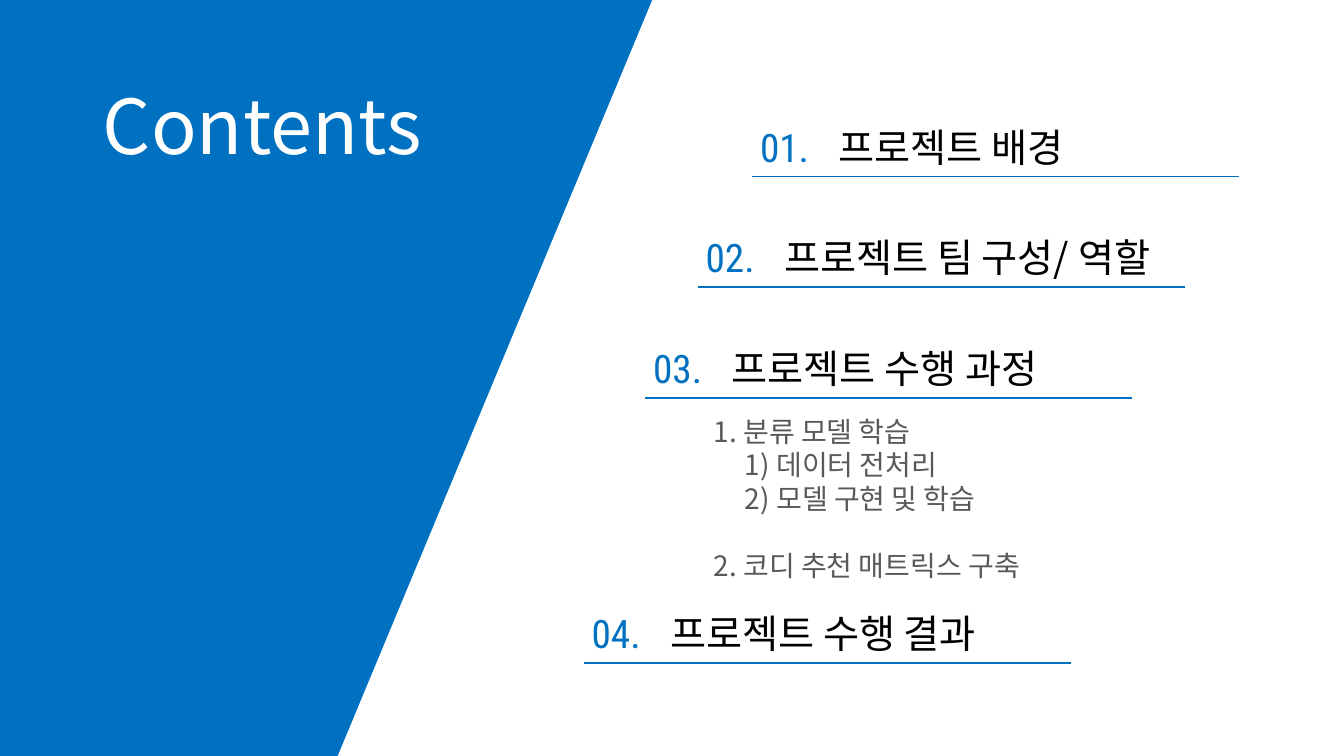
from dataclasses import dataclass

from lxml import etree
from pptx import Presentation
from pptx import util as u
from pptx.dml.color import RGBColor
from pptx.enum import shapes, text
from pptx.oxml import ns

BLUE = RGBColor(0x00, 0x70, 0xC0)
WHITE = RGBColor(0xFF, 0xFF, 0xFF)
BLACK = RGBColor(0x00, 0x00, 0x00)
GRAY = RGBColor(0x59, 0x59, 0x59)
KOREAN_FONT = "Noto Sans CJK KR"
NUMBER_FONT = "Roboto Condensed"
WIDTH, HEIGHT = 13.33, 7.5
RULE_LENGTH = 4.83
NUMBER_WIDTH = 0.75


@dataclass
class Chapter:
    number: str
    heading: str
    left: float
    top: float
    heading_width: float


@dataclass
class Step:
    label: str
    indent: float = 0
    line_spacing: float = 1


CHAPTERS = [
    Chapter("01.", "프로젝트 배경", 7.44, 1.17, 2.63),
    Chapter("02.", "프로젝트 팀 구성/ 역할", 6.9, 2.27, 4.28),
    Chapter("03.", "프로젝트 수행 과정", 6.38, 3.37, 3.54),
    Chapter("04.", "프로젝트 수행 결과", 5.77, 6, 3.53),
]
STEPS = [
    Step("1. 분류 모델 학습"),
    Step("1) 데이터 전처리", indent=0.31),
    Step("2) 모델 구현 및 학습", indent=0.31),
    Step("2. 코디 추천 매트릭스 구축", line_spacing=2),
]


def write(paragraph, content: str, *, size: float, color: RGBColor,
          font: str = KOREAN_FONT, align=text.PP_ALIGN.LEFT,
          indent: float = 0, line_spacing: float = 1) -> None:
    paragraph.alignment = align
    paragraph.line_spacing = line_spacing
    if indent:
        properties = paragraph._p.get_or_add_pPr()
        properties.set("marL", str(u.Inches(indent)))
        properties.set("indent", "0")
    run = paragraph.add_run()
    run.text = content
    run.font.size = u.Pt(size)
    run.font.name = font
    run.font.color.rgb = color
    east_asian = etree.SubElement(run._r.get_or_add_rPr(), ns.qn("a:ea"))
    east_asian.set("typeface", font)


def add_box(parent, left: float, top: float, width: float, height: float,
            wrap: bool = False):
    box = parent.add_textbox(*map(u.Inches, (left, top, width, height)))
    box.text_frame.word_wrap = wrap
    return box.text_frame


def paint(shape, color: RGBColor) -> None:
    shape.shadow.inherit = False
    shape.fill.solid()
    shape.fill.fore_color.rgb = color
    shape.line.fill.background()


def add_background(slide) -> None:
    panel = slide.shapes.add_shape(
        shapes.MSO_SHAPE.RECTANGLE, 0, 0, u.Inches(9.9), u.Inches(HEIGHT))
    paint(panel, BLUE)
    builder = slide.shapes.build_freeform(
        u.Inches(WIDTH), u.Inches(HEIGHT))
    corners = [(3.35, HEIGHT), (6.47, 0), (WIDTH, 0)]
    builder.add_line_segments(
        [(u.Inches(x), u.Inches(y)) for x, y in corners], close=True)
    paint(builder.convert_to_shape(), WHITE)


def add_title(slide) -> None:
    title = slide.shapes.title
    title.left, title.top = u.Inches(0.92), u.Inches(0.73)
    title.width, title.height = u.Inches(3.82), u.Inches(1.01)
    frame = title.text_frame
    frame.word_wrap = False
    frame.auto_size = text.MSO_AUTO_SIZE.NONE
    frame.vertical_anchor = text.MSO_ANCHOR.TOP
    write(frame.paragraphs[0], "Contents", size=54, color=WHITE)
    slide.shapes._spTree.append(title._element)


def add_chapter(slide, chapter: Chapter) -> None:
    group = slide.shapes.add_group_shape().shapes
    heading = add_box(group, chapter.left + 0.78, chapter.top,
                      chapter.heading_width, 0.57)
    write(heading.paragraphs[0], chapter.heading, size=28, color=BLACK)
    number = add_box(group, chapter.left, chapter.top, NUMBER_WIDTH, 0.57)
    write(number.paragraphs[0], chapter.number, size=28, color=BLUE,
          font=NUMBER_FONT)
    start = chapter.left + 0.02
    level = u.Inches(chapter.top + 0.58)
    rule = group.add_connector(
        shapes.MSO_CONNECTOR.STRAIGHT, u.Inches(start), level,
        u.Inches(start + RULE_LENGTH), level)
    rule.line.color.rgb = BLUE
    rule.line.width = u.Pt(1.25)
    etree.SubElement(rule._element.spPr, ns.qn("a:effectLst"))


def add_steps(slide) -> None:
    frame = add_box(slide.shapes, 6.98, 4.06, 3.56, 1.68, wrap=True)
    for index, step in enumerate(STEPS):
        paragraph = frame.add_paragraph() if index else frame.paragraphs[0]
        write(paragraph, step.label, size=20, color=GRAY,
              align=text.PP_ALIGN.JUSTIFY, indent=step.indent,
              line_spacing=step.line_spacing)


def main() -> None:
    presentation = Presentation()
    presentation.slide_width = u.Inches(WIDTH)
    presentation.slide_height = u.Inches(HEIGHT)
    slide = presentation.slides.add_slide(presentation.slide_layouts[5])
    add_background(slide)
    add_title(slide)
    for chapter in CHAPTERS:
        add_chapter(slide, chapter)
    add_steps(slide)
    presentation.save("out.pptx")


if __name__ == "__main__":
    main()
